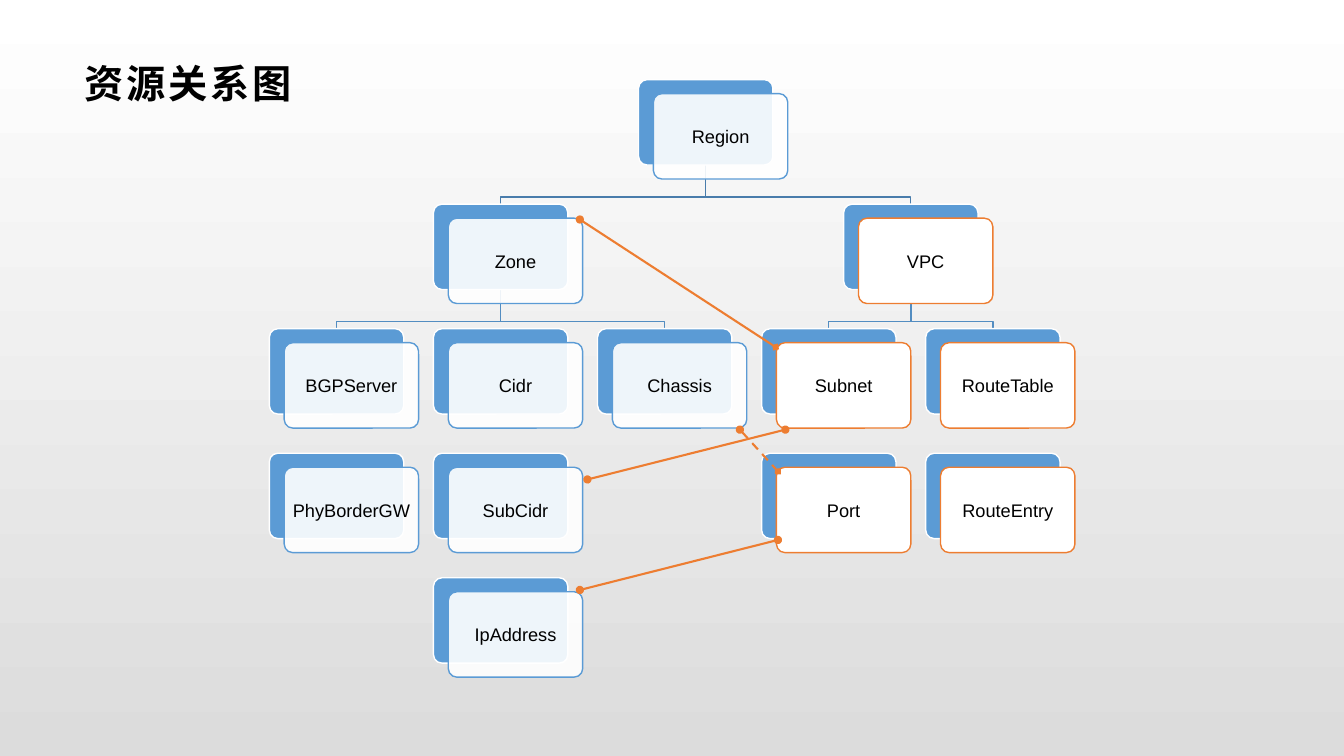
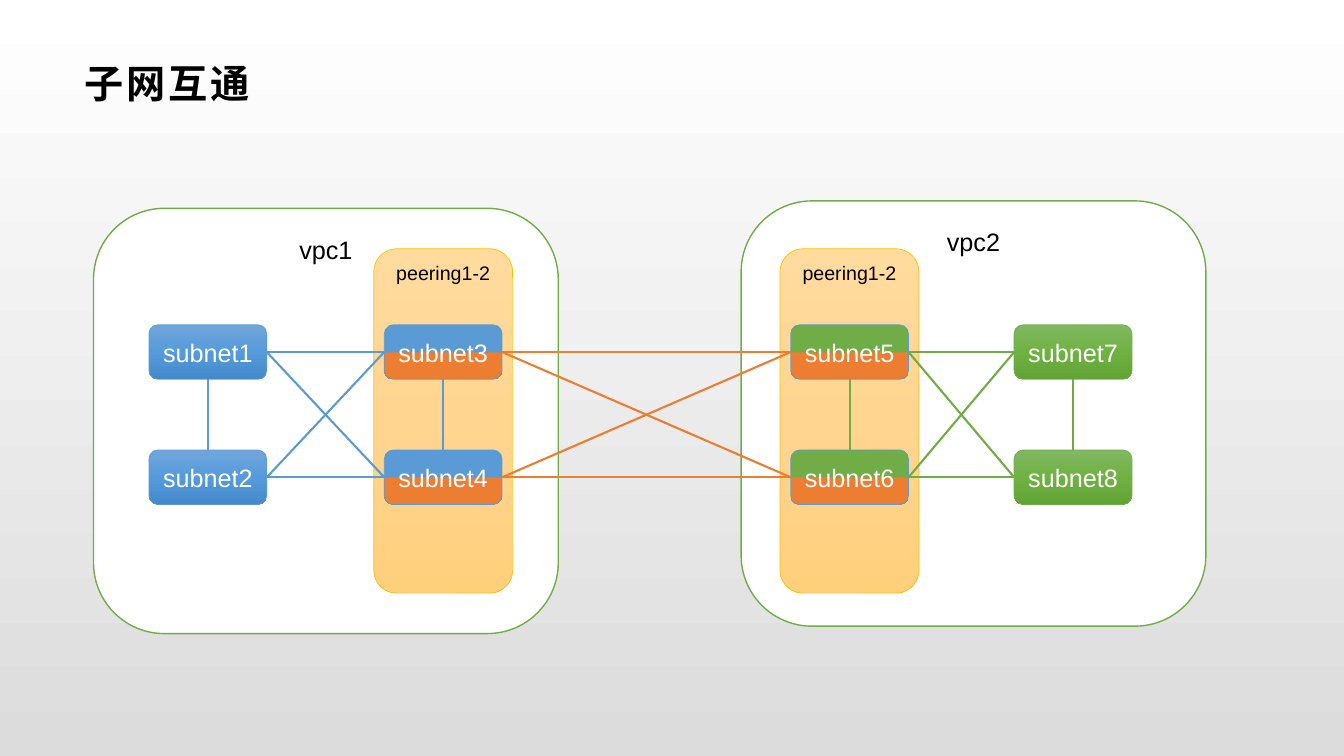
from dataclasses import dataclass
from itertools import product

from lxml.etree import SubElement as Sub
from pptx import Presentation as Deck
from pptx.dml.color import RGBColor as RGB
from pptx.enum.dml import MSO_LINE as Dash
from pptx.enum.shapes import MSO_CONNECTOR as Conn, MSO_SHAPE as Kind
from pptx.enum.text import MSO_ANCHOR as Anchor, PP_ALIGN as Align
from pptx.oxml.ns import qn
from pptx.util import Pt

FONT = "Arial"
BLACK = RGB(0x00, 0x00, 0x00)
WHITE = RGB(0xFF, 0xFF, 0xFF)
GRAY = RGB(0xDC, 0xDC, 0xDC)
BLUE = RGB(0x5B, 0x9B, 0xD5)
GREEN = RGB(0x70, 0xAD, 0x47)
ORANGE = RGB(0xED, 0x7D, 0x31)
GOLD = RGB(0xFF, 0xC0, 0x00)
NAVY = RGB(0x49, 0x7C, 0xAB)
STEEL = RGB(0x53, 0x8D, 0xC1)

PAGE = [(0, WHITE), (100, GRAY)]
SKY = [(0, RGB(0x71, 0xA6, 0xDB)), (50, RGB(0x55, 0x9B, 0xDB)),
       (100, RGB(0x44, 0x8A, 0xCA))]
LEAF = [(0, RGB(0x81, 0xB8, 0x61)), (50, RGB(0x6F, 0xB2, 0x42)),
        (100, RGB(0x62, 0xA3, 0x36))]
SAND = [(0, RGB(0xFF, 0xDB, 0x9E)), (50, RGB(0xFF, 0xD5, 0x90)),
        (100, RGB(0xFF, 0xD0, 0x7C))]


def split(top: RGB) -> list:
    return [(0, top), (49, top), (52, ORANGE), (100, ORANGE)]


@dataclass(frozen=True)
class Box:
    x: float
    y: float
    w: float
    h: float


@dataclass(frozen=True)
class Card:
    name: str
    col: float
    row: int
    edge: RGB = BLUE

    @property
    def back(self) -> Box:
        return Box(192.4 + 117.2 * self.col, 56.9 + 88.95 * self.row, 96, 61)

    @property
    def front(self) -> Box:
        return Box(self.back.x + 10.6, self.back.y + 10, 96, 61)


@dataclass(frozen=True)
class Bond:
    start: tuple
    end: tuple
    tail: str = "oval"
    dash: bool = False


@dataclass(frozen=True)
class Stack:
    x: float
    fill: list
    edge: RGB
    line: RGB


CARDS = [
    Card("Region", 2.25, 0),
    Card("Zone", 1, 1),
    Card("BGPServer", 0, 2),
    Card("PhyBorderGW", 0, 3),
    Card("Cidr", 1, 2),
    Card("SubCidr", 1, 3),
    Card("IpAddress", 1, 4),
    Card("Chassis", 2, 2),
    Card("VPC", 3.5, 1, ORANGE),
    Card("Subnet", 3, 2, ORANGE),
    Card("Port", 3, 3, ORANGE),
    Card("RouteTable", 4, 2, ORANGE),
    Card("RouteEntry", 4, 3, ORANGE),
]
TREE = {
    "Region": ("Zone", "VPC"),
    "Zone": ("BGPServer", "Chassis"),
    "VPC": ("Subnet", "RouteTable"),
}
BONDS = [
    Bond((419.6, 342.5), (561, 306.9)),
    Bond((414.2, 421.4), (555.7, 385.7)),
    Bond((414.2, 156.8), (554, 247.9), "diamond"),
    Bond((528.5, 306.9), (555.7, 336.7), "diamond", True),
]
STACKS = [
    Stack(106.4, SKY, BLUE, BLUE),
    Stack(274.5, split(BLUE), BLUE, BLUE),
    Stack(564.8, split(GREEN), BLUE, GREEN),
    Stack(724.4, LEAF, GREEN, GREEN),
]
ROWS = (232, 321.4)


def grade(root, fill, stops: list) -> None:
    fill.gradient()
    fill.gradient_angle = 270
    group = root.find(".//" + qn("a:gsLst"))
    for old in list(group):
        group.remove(old)
    for pos, tint in stops:
        stop = Sub(group, qn("a:gs"), pos=str(pos * 1000))
        Sub(stop, qn("a:srgbClr"), val=str(tint))


def write(para, text: str, size: float, tint: RGB):
    run = para.add_run()
    run.text = text
    run.font.name = FONT
    run.font.size = Pt(size)
    run.font.color.rgb = tint
    return run


def block(page, box: Box, fill, edge: RGB, width: float = 1):
    shape = page.shapes.add_shape(
        Kind.ROUNDED_RECTANGLE, Pt(box.x), Pt(box.y), Pt(box.w), Pt(box.h))
    shape.shadow.inherit = False
    if isinstance(fill, list):
        grade(shape.element, shape.fill, fill)
    else:
        shape.fill.solid()
        shape.fill.fore_color.rgb = fill
    shape.line.color.rgb = edge
    shape.line.width = Pt(width)
    return shape


def label(shape, text: str, size: float, tint: RGB = BLACK,
          anchor: Anchor = Anchor.MIDDLE) -> None:
    frame = shape.text_frame
    frame.word_wrap = True
    frame.vertical_anchor = anchor
    para = frame.paragraphs[0]
    para.alignment = Align.CENTER
    write(para, text, size, tint)


def wire(page, tint: RGB, start: tuple = (0, 0), end: tuple = (0, 0)):
    line = page.shapes.add_connector(
        Conn.STRAIGHT, *(Pt(n) for n in start + end))
    line.line.color.rgb = tint
    line.line.width = Pt(1.5)
    Sub(line.element.spPr, qn("a:effectLst"))
    return line


def join(page, tint: RGB, first, side: int, last, end: int) -> None:
    line = wire(page, tint)
    line.begin_connect(first, side)
    line.end_connect(last, end)


def tie(page, bond: Bond) -> None:
    line = wire(page, ORANGE, bond.start, bond.end)
    if bond.dash:
        line.line.dash_style = Dash.DASH
    pen = line.element.spPr.find(qn("a:ln"))
    Sub(pen, qn("a:headEnd"), type="oval")
    Sub(pen, qn("a:tailEnd"), type=bond.tail)


def elbow(page, top: Box, low: Box, tint: RGB) -> None:
    x, y = top.x + top.w / 2, top.y + top.h
    far, mid = low.x + low.w / 2, y + 22.8
    path = page.shapes.build_freeform(Pt(x), Pt(y))
    path.add_line_segments(
        [(Pt(x), Pt(mid)), (Pt(far), Pt(mid)), (Pt(far), Pt(low.y))],
        close=False)
    shape = path.convert_to_shape()
    shape.shadow.inherit = False
    shape.fill.background()
    shape.line.color.rgb = tint
    shape.line.width = Pt(1)


def plate(page, card: Card) -> None:
    block(page, card.back, BLUE, WHITE).adjustments[0] = 0.1
    front = block(page, card.front, WHITE, card.edge)
    front.adjustments[0] = 0.1
    if card.edge == BLUE:
        tint = front.element.spPr.find(qn("a:solidFill"))[0]
        Sub(tint, qn("a:alpha"), val="90000")
    frame = front.text_frame
    frame.margin_left = frame.margin_right = Pt(2)
    label(front, card.name, 13)


def style(deck):
    master = deck.slide_master
    grade(master.element, master.background.fill, PAGE)
    layout = deck.slide_layouts.get_by_name("Title Only")
    title = layout.placeholders[0]
    title.left, title.top = Pt(52.6), Pt(33.8)
    title.width, title.height = Pt(854.6), Pt(51.1)
    frame = title.text_frame
    frame.vertical_anchor = Anchor.MIDDLE
    frame.margin_left, frame.margin_right = Pt(8), Pt(6)
    frame.margin_top = frame.margin_bottom = Pt(3)
    return layout


def start(deck, layout, text: str):
    page = deck.slides.add_slide(layout)
    para = page.shapes.title.text_frame.paragraphs[0]
    para.alignment = Align.LEFT
    run = write(para, text, 28, BLACK)
    run.font.bold = True
    run.font._element.set("spc", "200")
    return page


def chart(page) -> None:
    cards = {card.name: card for card in CARDS}
    for head, kids in TREE.items():
        tint = NAVY if head == "Region" else STEEL
        for kid in kids:
            elbow(page, cards[head].back, cards[kid].back, tint)
    for card in CARDS:
        plate(page, card)
    for bond in BONDS:
        tie(page, bond)


def mesh(page) -> None:
    for name, x, y in (("vpc1", 66.8, 148.8), ("vpc2", 529.4, 143.5)):
        zone = block(page, Box(x, y, 332, 303.8), WHITE, GREEN)
        label(zone, name, 18, anchor=Anchor.TOP)
    for x in (267, 557.2):
        peer = block(page, Box(x, 177.7, 99.2, 246), SAND, GOLD, 0.5)
        label(peer, "peering1-2", 14, anchor=Anchor.TOP)
    nets = []
    for col, stack in enumerate(STACKS):
        pair = []
        for row, y in enumerate(ROWS):
            net = block(page, Box(stack.x, y, 84.2, 39), stack.fill,
                        stack.edge, 0.5)
            label(net, f"subnet{2 * col + row + 1}", 18, WHITE)
            pair.append(net)
        nets.append(pair)
    for stack, (top, low) in zip(STACKS, nets):
        join(page, stack.line, top, 2, low, 0)
    for tint, left, right in zip((BLUE, ORANGE, GREEN), nets, nets[1:]):
        for first, last in product(left, right):
            join(page, tint, first, 3, last, 1)


def main() -> None:
    deck = Deck()
    deck.slide_width, deck.slide_height = Pt(960), Pt(540)
    layout = style(deck)
    chart(start(deck, layout, "资源关系图"))
    mesh(start(deck, layout, "子网互通"))
    deck.save("out.pptx")


if __name__ == "__main__":
    main()
